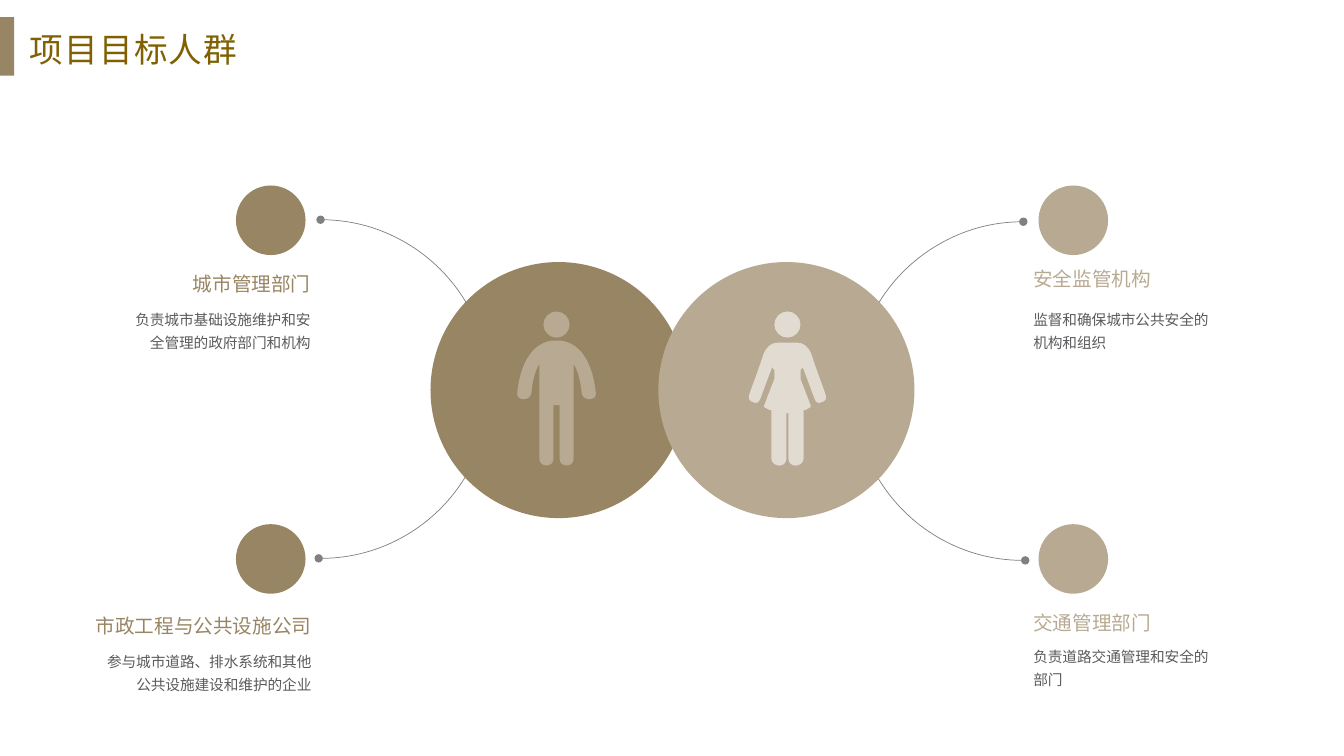
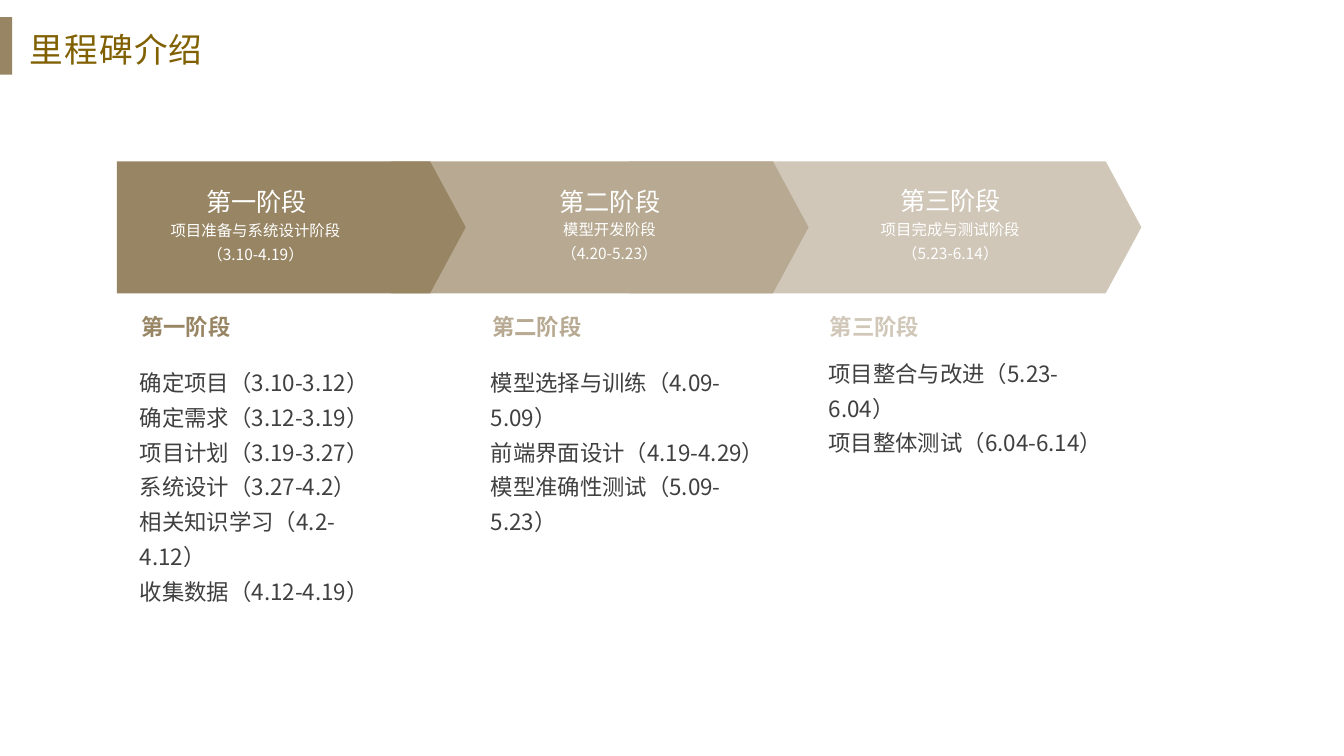
from lxml import etree
from pptx import Presentation
from pptx.dml.color import RGBColor
from pptx.enum import shapes, text
from pptx.oxml import ns
from pptx.util import Inches, Pt

COLORS = {
    "title": "806000",
    "brown": "988563",
    "tan": "B8AA92",
    "sand": "D0C7B8",
    "pale": "E1DBD1",
    "line": "808080",
    "note": "5C5A5D",
    "body": "404040",
    "white": "FFFFFF",
}
FONT = "Noto Sans CJK SC"
LEFT, CENTER, RIGHT = text.PP_ALIGN.LEFT, text.PP_ALIGN.CENTER, text.PP_ALIGN.RIGHT
OVAL, PENTAGON = shapes.MSO_SHAPE.OVAL, shapes.MSO_SHAPE.PENTAGON

# Right half of each outline, as (distance from the axis, distance below the top).
# Two numbers are a line, six a Bezier curve.
MAN = [
    (0.05, 0.29), (0.12, 0.30, 0.16, 0.33, 0.16, 0.33),
    (0.16, 0.33, 0.35, 0.41, 0.39, 0.81), (0.40, 0.89, 0.26, 0.89, 0.25, 0.81),
    (0.24, 0.71, 0.22, 0.60, 0.17, 0.52), (0.17, 1.46),
    (0.17, 1.55, 0.03, 1.55, 0.03, 1.46), (0.03, 0.93),
]
WOMAN = [
    (0.10, 0.31), (0.16, 0.31, 0.21, 0.35, 0.24, 0.43),
    (0.28, 0.56, 0.38, 0.82, 0.38, 0.83), (0.39, 0.86, 0.38, 0.89, 0.34, 0.90),
    (0.31, 0.92, 0.28, 0.90, 0.27, 0.87), (0.27, 0.87, 0.20, 0.68, 0.15, 0.55),
    (0.15, 0.56, 0.14, 0.57, 0.13, 0.58), (0.13, 0.67), (0.23, 0.93),
    (0.24, 0.94, 0.23, 0.96, 0.21, 0.96), (0.20, 0.97, 0.18, 0.98, 0.16, 0.98),
    (0.16, 1.46), (0.16, 1.50, 0.12, 1.53, 0.08, 1.53),
    (0.04, 1.53, 0.01, 1.50, 0.01, 1.46), (0.01, 1.01),
]
HEAD = [(0, 0), (0.07, 0, 0.13, 0.06, 0.13, 0.13), (0.13, 0.20, 0.07, 0.26, 0, 0.26)]


def mirror(half):
    """Return the points of the whole outline and the point count of each part."""
    points = [part[i:i + 2] for part in half for i in range(0, len(part), 2)]
    counts = [len(part) // 2 for part in half[1:]]
    points += [(-dx, dy) for dx, dy in reversed(points)]
    return points, counts + [1] + counts[::-1]


def bend(path, counts):
    """Join each run of three lines that stands for a curve into one."""
    lines = iter(path.findall(ns.qn("a:lnTo")))
    for count in counts:
        run = [next(lines) for _ in range(count)]
        if count == 3:
            curve = etree.Element(ns.qn("a:cubicBezTo"))
            run[0].addprevious(curve)
            for line in run:
                curve.append(line[0])
                path.remove(line)


class Deck:
    def __init__(self):
        self.prs = Presentation()
        self.prs.slide_width, self.prs.slide_height = Inches(13.33), Inches(7.5)
        self.s = None

    def slide(self, title, bar_w, bar_h):
        self.s = self.prs.slides.add_slide(self.prs.slide_layouts[6])
        self.shape(shapes.MSO_SHAPE.RECTANGLE, 0, 0.17, bar_w, bar_h, "brown")
        self.text(title, 0.19, 0.16, 4.14, 0.55, size=24, color="title",
                  spacing=1.2, tracking=1)

    def paint(self, sp, color):
        sp.shadow.inherit = False
        sp.fill.solid()
        sp.fill.fore_color.rgb = rgb(color)
        sp.line.fill.background()

    def shape(self, kind, x, y, w, h, color):
        sp = self.s.shapes.add_shape(kind, Inches(x), Inches(y), Inches(w), Inches(h))
        self.paint(sp, color)
        return sp

    def circle(self, x, y, d, color):
        self.shape(OVAL, x, y, d, d, color)

    def arrow(self, x, y, w, h, color):
        self.shape(PENTAGON, x, y, w, h, color).adjustments[0] = 0.27

    def arc(self, x, y, d, flip=False):
        """Draw a half circle with a dot at each end."""
        sp = self.s.shapes.add_shape(shapes.MSO_SHAPE.ARC, Inches(x), Inches(y),
                                     Inches(d), Inches(d))
        sp.shadow.inherit = False
        sp.adjustments[0], sp.adjustments[1] = 162, 54.38
        sp.fill.background()
        sp.line.color.rgb = rgb("line")
        sp.line.width = Pt(0.5)
        ln = sp.line._get_or_add_ln()
        for end in ("a:headEnd", "a:tailEnd"):
            etree.SubElement(ln, ns.qn(end), type="oval")
        if flip:
            sp._element.spPr.find(ns.qn("a:xfrm")).set("flipH", "1")

    def person(self, axis, top, body, color):
        """Draw a body and a head, mirrored about the axis, as one freeform."""
        builder, counts = None, []
        for half in (body, HEAD):
            points, part_counts = mirror(half)
            points = [(Inches(axis + dx), Inches(top + dy)) for dx, dy in points]
            if builder is None:
                builder = self.s.shapes.build_freeform(*points[0])
            else:
                builder.move_to(*points[0])
            builder.add_line_segments(points[1:], close=True)
            counts += part_counts
        sp = builder.convert_to_shape()
        bend(next(sp._element.iter(ns.qn("a:path"))), counts)
        self.paint(sp, color)

    def text(self, content, x, y, w, h, *, size, color, align=LEFT, spacing=1.0,
             bold=False, tracking=0):
        """Add a text box with one paragraph for each line of content."""
        tf = self.s.shapes.add_textbox(Inches(x), Inches(y), Inches(w),
                                       Inches(h)).text_frame
        tf.word_wrap = True
        tf.auto_size = text.MSO_AUTO_SIZE.SHAPE_TO_FIT_TEXT
        for i, line in enumerate(content.split("\n")):
            p = tf.add_paragraph() if i else tf.paragraphs[0]
            p.alignment, p.line_spacing = align, spacing
            r = p.add_run()
            r.text = line
            r.font.size, r.font.bold, r.font.name = Pt(size), bold, FONT
            r.font.color.rgb = rgb(color)
            rPr = r._r.get_or_add_rPr()
            etree.SubElement(rPr, ns.qn("a:ea"), typeface=FONT)
            if tracking:
                rPr.set("spc", str(tracking * 100))


def rgb(name):
    return RGBColor.from_string(COLORS[name])


def audience_slide(deck):
    deck.slide("项目目标人群", 0.14, 0.58)
    deck.arc(1.5, 2.18, 3.36)
    deck.arc(8.47, 2.2, 3.36, flip=True)
    deck.circle(4.27, 2.6, 2.54, "brown")
    deck.circle(6.53, 2.6, 2.54, "tan")
    for x, color in ((2.34, "brown"), (10.3, "tan")):
        for y in (1.84, 5.2):
            deck.circle(x, y, 0.69, color)

    left, right = (RIGHT, "brown"), (LEFT, "tan")
    groups = [
        (left, "城市管理部门", 1.7, 2.65, 1.48,
         "负责城市基础设施维护和安全管理的政府部门和机构", 1.1, 2.98, 2.08),
        (left, "市政工程与公共设施公司", 0.82, 6.04, 2.37,
         "参与城市道路、排水系统和其他公共设施建设和维护的企业", 0.82, 6.38, 2.37),
        (right, "安全监管机构", 10.15, 2.6, 1.49,
         "监督和确保城市公共安全的机构和组织", 10.15, 2.98, 2.08),
        (right, "交通管理部门", 10.15, 6.01, 1.51,
         "负责道路交通管理和安全的部门", 10.15, 6.33, 2.08),
    ]
    for (align, color), name, name_x, name_y, name_w, note, x, y, w in groups:
        deck.text(note, x, y, w, 0.54, size=10.5, color="note", align=align, spacing=1.3)
        deck.text(name, name_x, name_y, name_w, 0.34, size=14, color=color, align=align)

    deck.person(5.52, 3.09, MAN, "tan")
    deck.person(7.81, 3.09, WOMAN, "pale")


def milestone_slide(deck):
    deck.slide("里程碑介绍", 0.12, 0.57)
    # The later arrows lie under the earlier ones.
    for x, w, color in ((6.24, 5.08, "sand"), (3.88, 4.14, "tan"), (1.16, 3.46, "brown")):
        deck.arrow(x, 1.6, w, 1.31, color)

    labels = [
        ("第一阶段", 1.63, 1.8, 1.83, "项目准备与系统设计阶段\n（3.10-4.19）", 1.57, 2.09, 1.93),
        ("第二阶段", 5.2, 1.8, 1.7, "模型开发阶段\n（4.20-5.23）", 5.15, 2.08, 1.79),
        ("第三阶段", 8.58, 1.79, 1.7, "项目完成与测试阶段\n（5.23-6.14）", 8.53, 2.08, 1.79),
    ]
    for name, name_x, name_y, name_w, label, x, y, w in labels:
        deck.text(label, x, y, w, 0.56, size=11, color="white", align=CENTER, spacing=1.3)
        deck.text(name, name_x, name_y, name_w, 0.4, size=18, color="white", align=CENTER)

    plans = [
        ("第一阶段", "brown", 1.29, 3.53, 2.66, 2.17,
         "确定项目（3.10-3.12）\n确定需求（3.12-3.19）\n项目计划（3.19-3.27）\n"
         "系统设计（3.27-4.2）\n相关知识学习（4.2-4.12）\n收集数据（4.12-4.19）"),
        ("第二阶段", "tan", 4.77, 3.53, 3.03, 1.12,
         "模型选择与训练（4.09-5.09）\n前端界面设计（4.19-4.29）\n"
         "模型准确性测试（5.09-5.23）"),
        ("第三阶段", "sand", 8.12, 3.44, 3.11, 0.77,
         "项目整合与改进（5.23-6.04）\n项目整体测试（6.04-6.14）"),
    ]
    for name, color, x, y, w, h, tasks in plans:
        deck.text(tasks, x, y, w, h, size=16, color="body", spacing=1.3)
        deck.text(name, x, 3.06, 1.11, 0.37, size=16, color=color, align=CENTER, bold=True)


def main():
    deck = Deck()
    audience_slide(deck)
    milestone_slide(deck)
    deck.prs.save("out.pptx")


if __name__ == "__main__":
    main()
